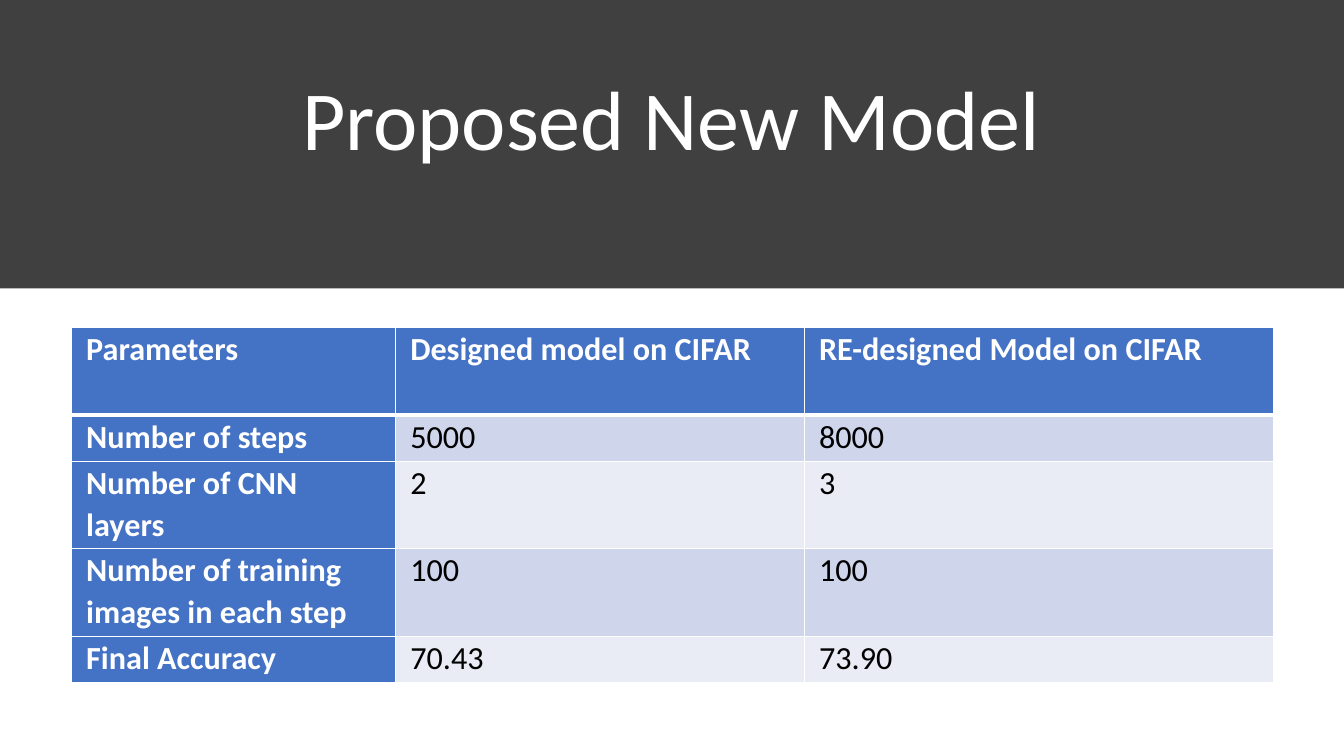
from pptx import Presentation
from pptx.dml.color import RGBColor
from pptx.enum.shapes import MSO_SHAPE
from pptx.enum.text import MSO_ANCHOR, PP_ALIGN
from pptx.oxml.ns import qn
from pptx.util import Pt
from lxml import etree

RECTANGLE = MSO_SHAPE.RECTANGLE
BOTTOM = MSO_ANCHOR.BOTTOM
CENTER = PP_ALIGN.CENTER
TITLE_ONLY = 5

COLORS = {
    "band": "404040",
    "header": "4472C4",
    "odd_row": "CFD5EA",
    "even_row": "E9EBF5",
    "white": "FFFFFF",
    "black": "000000",
}
TITLE_FONT = {"name": "Calibri", "size": Pt(60), "bold": False}
HEADER_FONT = {"name": "Calibri", "size": Pt(23), "bold": True}
VALUE_FONT = {**HEADER_FONT, "bold": False}
CELL_MARGINS = {
    "margin_left": Pt(10.4),
    "margin_right": Pt(10.4),
    "margin_top": 0,
    "margin_bottom": 0,
}

COLUMN_WIDTHS = [231.5, 292, 335]
ROW_HEIGHTS = [62.5, 33.1, 62.5, 62.5, 33.1]
ROWS = [
    ["Parameters", "Designed model on CIFAR", "RE-designed Model on CIFAR"],
    ["Number of steps", "5000", "8000"],
    ["Number of CNN layers", "2", "3"],
    ["Number of training images in each step", "100", "100"],
    ["Final Accuracy", "70.43", "73.90"],
]


def rgb(name):
    return RGBColor.from_string(COLORS[name])


def apply(target, values):
    for attribute, value in values.items():
        setattr(target, attribute, value)


def write(text_frame, text, font, color, paragraph_format):
    paragraph = text_frame.paragraphs[0]
    apply(paragraph, paragraph_format)
    run = paragraph.add_run()
    run.text = text
    apply(run.font, font)
    run.font.color.rgb = rgb(color)


def add_band(slide, width, height):
    band = slide.shapes.add_shape(RECTANGLE, 0, 0, width, height)
    band.shadow.inherit = False
    band.fill.solid()
    band.fill.fore_color.rgb = rgb("band")
    band.line.fill.background()
    slide.shapes.title.element.addprevious(band.element)


def fill_title(slide, text):
    title = slide.shapes.title
    apply(title, {"left": Pt(55.5), "top": Pt(28.8), "width": Pt(847.5), "height": Pt(95)})
    apply(title.text_frame, {"vertical_anchor": BOTTOM, "word_wrap": True})
    write(title.text_frame, text, TITLE_FONT, "white", {"alignment": CENTER, "line_spacing": 0.9})


def add_borders(cell, widths):
    properties = cell._tc.get_or_add_tcPr()
    for side, width in widths.items():
        line = etree.SubElement(properties, qn(f"a:ln{side}"), w=str(Pt(width)))
        fill = etree.SubElement(line, qn("a:solidFill"))
        etree.SubElement(fill, qn("a:srgbClr"), val=COLORS["white"])


def format_cell(cell, text, row, column):
    is_header = row == 0 or column == 0
    band_color = "odd_row" if row % 2 else "even_row"
    apply(cell, CELL_MARGINS)
    add_borders(cell, {"L": 1, "R": 1, "T": 3 if row == 1 else 1, "B": 1 if row else 3})
    cell.fill.solid()
    cell.fill.fore_color.rgb = rgb("header" if is_header else band_color)
    font, color = (HEADER_FONT, "white") if is_header else (VALUE_FONT, "black")
    write(cell.text_frame, text, font, color, {"line_spacing": 1.06})


def add_model_table(slide, left, top):
    frame = slide.shapes.add_table(
        len(ROWS), len(COLUMN_WIDTHS), left, top, Pt(sum(COLUMN_WIDTHS)), Pt(sum(ROW_HEIGHTS))
    )
    table = frame.table
    for column, width in zip(table.columns, COLUMN_WIDTHS):
        column.width = Pt(width)
    for row, height in zip(table.rows, ROW_HEIGHTS):
        row.height = Pt(height)
    for row, texts in enumerate(ROWS):
        for column, text in enumerate(texts):
            format_cell(table.cell(row, column), text, row, column)


def main():
    presentation = Presentation()
    apply(presentation, {"slide_width": Pt(960), "slide_height": Pt(540)})
    slide = presentation.slides.add_slide(presentation.slide_layouts[TITLE_ONLY])
    add_band(slide, presentation.slide_width, Pt(206))
    fill_title(slide, "Proposed New Model")
    add_model_table(slide, Pt(51.2), Pt(234))
    presentation.save("out.pptx")


if __name__ == "__main__":
    main()
